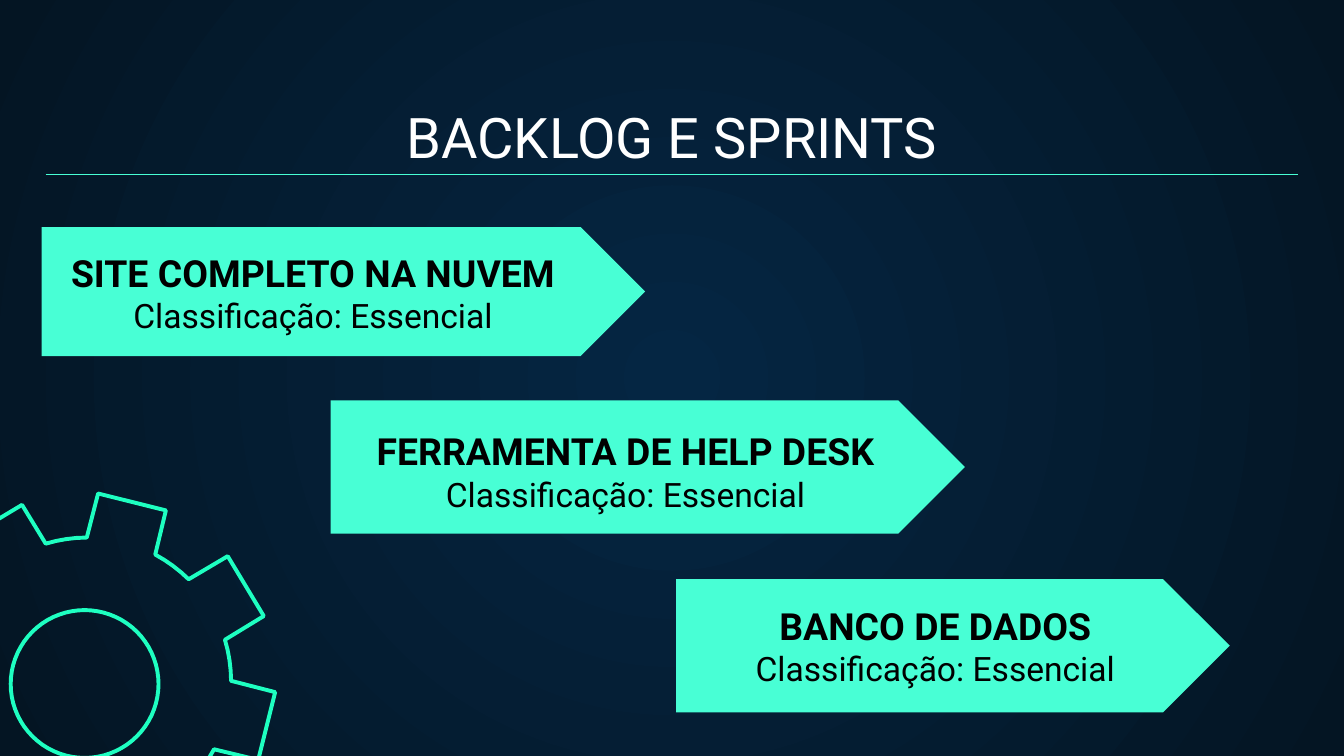
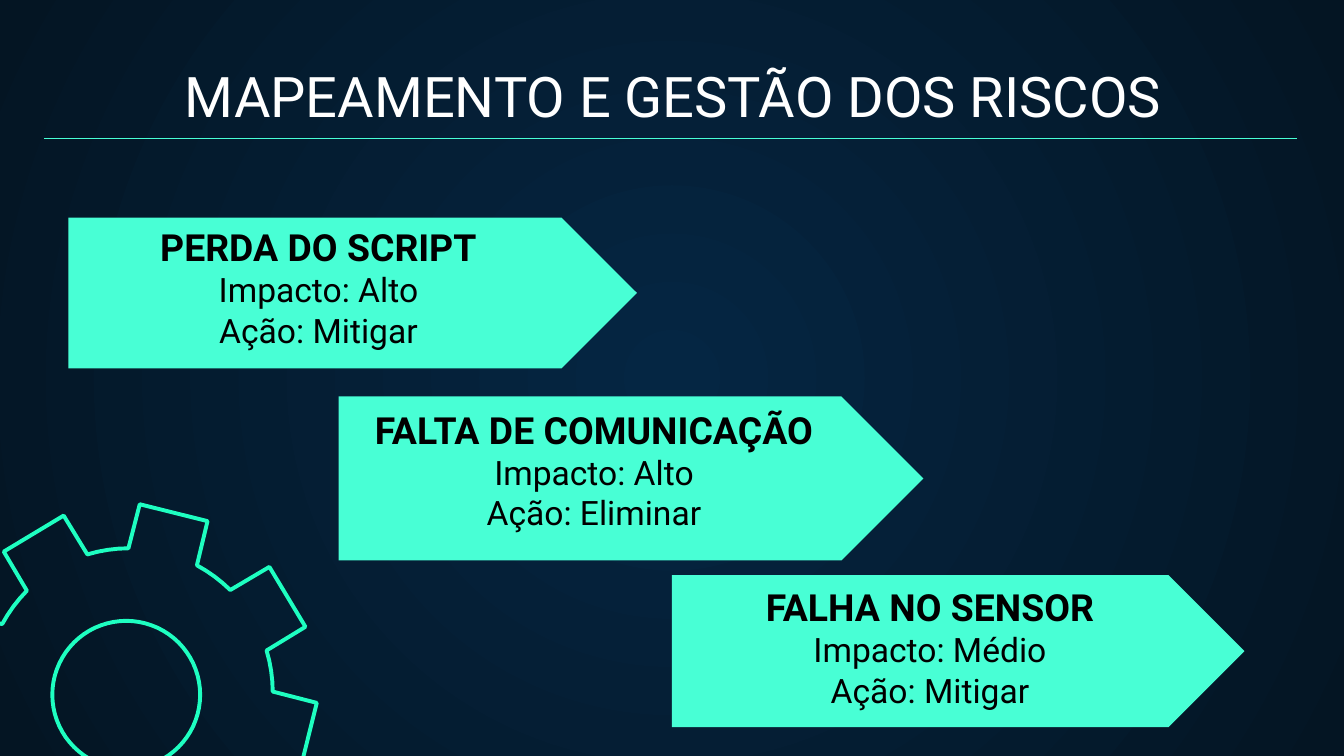
import math
from dataclasses import dataclass

import pptx
import pptx.dml.color
import pptx.enum.dml
import pptx.enum.shapes
import pptx.enum.text
import pptx.oxml
import pptx.oxml.ns
import pptx.util

# Content: positions are in grid cells, a hundred square cells to the slide width
SLIDES = [
    {
        "title": "BACKLOG E SPRINTS",
        "title_box": (3.4, 7, 93.2, 6.6),
        "rule": (3.4, 13),
        "gear_center": (6.5, 50.7),
        "steps": [
            {"lines": ["SITE COMPLETO NA NUVEM", "Classificação: Essencial"],
             "arrow": (3.1, 16.9, 44.9, 9.6), "label": (2.8, 18.1, 41)},
            {"lines": ["FERRAMENTA DE HELP DESK", "Classificação: Essencial"],
             "arrow": (24.6, 29.8, 47.2, 9.9), "label": (26.7, 31.4, 39.7)},
            {"lines": ["BANCO DE DADOS", "Classificação: Essencial"],
             "arrow": (50.3, 43.1, 41.2, 9.9), "label": (50.9, 44.4, 37.4)},
        ],
    },
    {
        "title": "MAPEAMENTO E GESTÃO DOS RISCOS",
        "title_box": (3.5, 4.2, 93.2, 6.4),
        "rule": (3.3, 10.3),
        "gear_center": (9.6, 51.5),
        "steps": [
            {"lines": ["PERDA DO SCRIPT", "Impacto: Alto", "Ação: Mitigar"],
             "arrow": (5.1, 16.2, 42.3, 11.2), "label": (6.8, 16.2, 33.8)},
            {"lines": ["FALTA DE COMUNICAÇÃO", "Impacto: Alto", "Ação: Eliminar"],
             "arrow": (25.2, 29.5, 43.5, 12.2), "label": (26.4, 29.8, 35.6)},
            {"lines": ["FALHA NO SENSOR", "Impacto: Médio", "Ação: Mitigar"],
             "arrow": (50, 42.8, 42.6, 11.3), "label": (52.3, 43, 33.8)},
        ],
    },
]


@dataclass(frozen=True)
class Theme:
    font: str = "Roboto"
    title_size: float = 30
    heading_size: float = 20
    detail_size: float = 18
    rule_width: float = 0.75
    gear_width: float = 2.1
    glow: str = "052643"
    night: str = "041523"
    mint: str = "48FFD5"
    gear_line: str = "1EFFC1"
    title_color: str = "FFFFFF"
    label_color: str = "000000"


THEME = Theme()
SLIDE_WIDTH = pptx.util.Inches(10)
SLIDE_HEIGHT = pptx.util.Inches(5.625)
CELL = SLIDE_WIDTH / 100
RULE_LENGTH = 93.2

# Gear proportions: radii in cells, angles in degrees
TEETH = 8
FIRST_TOOTH = 14
TIP_RADIUS, TIP_HALF_ANGLE = 14, 10.7
ROOT_RADIUS, ROOT_HALF_ANGLE = 10.7, 14.2
HOLE_RADIUS, HOLE_SHIFT = 5.5, 0.2


def cells(*lengths):
    return [round(length * CELL) for length in lengths]


def rgb(color):
    return pptx.dml.color.RGBColor.from_string(color)


def paint_background(master):
    fill = master.background.fill
    fill.gradient()
    for stop, color in zip(fill.gradient_stops, (THEME.glow, THEME.night)):
        stop.color.rgb = rgb(color)
    # Turn the linear gradient into a circular one
    qn = pptx.oxml.ns.qn
    linear = master.element.find(".//" + qn("p:bg")).find(".//" + qn("a:lin"))
    circle = pptx.oxml.parse_xml(
        f'<a:path {pptx.oxml.ns.nsdecls("a")} path="circle">'
        '<a:fillToRect l="50000" t="50000" r="50000" b="50000"/></a:path>')
    linear.getparent().replace(linear, circle)


def add_text(slide, box, lines, sizes, color, bold_first=False):
    text_frame = slide.shapes.add_textbox(*cells(*box)).text_frame
    text_frame.word_wrap = True
    text_frame.text = "\n".join(lines)
    for index, (paragraph, size) in enumerate(zip(text_frame.paragraphs, sizes)):
        paragraph.alignment = pptx.enum.text.PP_ALIGN.CENTER
        for run in paragraph.runs:
            run.font.name = THEME.font
            run.font.size = pptx.util.Pt(size)
            run.font.bold = bold_first and index == 0
            run.font.color.rgb = rgb(color)
    return text_frame


def add_title(slide, title, box):
    text_frame = add_text(slide, box, [title], [THEME.title_size], THEME.title_color)
    text_frame.vertical_anchor = pptx.enum.text.MSO_ANCHOR.BOTTOM
    text_frame.margin_top = text_frame.margin_bottom = pptx.util.Inches(0.1)


def add_rule(slide, left, top):
    rule = slide.shapes.add_connector(
        pptx.enum.shapes.MSO_CONNECTOR.STRAIGHT,
        *cells(left, top, left + RULE_LENGTH, top))
    rule.line.color.rgb = rgb(THEME.mint)
    rule.line.width = pptx.util.Pt(THEME.rule_width)
    properties = rule.element.find(pptx.oxml.ns.qn("p:spPr"))
    properties.append(pptx.oxml.parse_xml(
        f'<a:effectLst {pptx.oxml.ns.nsdecls("a")}/>'))


def polar(center, radius, degrees):
    angle = math.radians(degrees)
    return tuple(cells(center[0] + radius * math.cos(angle),
                       center[1] + radius * math.sin(angle)))


def add_gear(slide, center):
    # Each tooth has two root and two tip corners, then an arc to the next one
    step = 360 / TEETH
    valley = step - 2 * ROOT_HALF_ANGLE
    outline = []
    for tooth in range(TEETH):
        middle = FIRST_TOOTH + tooth * step
        corners = [(ROOT_RADIUS, -ROOT_HALF_ANGLE), (TIP_RADIUS, -TIP_HALF_ANGLE),
                   (TIP_RADIUS, TIP_HALF_ANGLE), (ROOT_RADIUS, ROOT_HALF_ANGLE)]
        corners += [(ROOT_RADIUS, ROOT_HALF_ANGLE + valley * part / 4)
                    for part in range(1, 4)]
        outline += [polar(center, radius, middle + turn) for radius, turn in corners]
    hole_center = (center[0] - HOLE_SHIFT, center[1] + HOLE_SHIFT)
    hole = [polar(hole_center, HOLE_RADIUS, degrees) for degrees in range(0, 360, 5)]

    builder = slide.shapes.build_freeform(*outline[0])
    builder.add_line_segments(outline[1:], close=True)
    builder.move_to(*hole[0])
    builder.add_line_segments(hole[1:], close=True)
    gear = builder.convert_to_shape()
    gear.shadow.inherit = False
    gear.fill.background()
    gear.line.color.rgb = rgb(THEME.gear_line)
    gear.line.width = pptx.util.Pt(THEME.gear_width)


def add_arrow(slide, box):
    arrow = slide.shapes.add_shape(
        pptx.enum.shapes.MSO_SHAPE.PENTAGON, *cells(*box))
    arrow.shadow.inherit = False
    arrow.fill.solid()
    arrow.fill.fore_color.rgb = rgb(THEME.mint)
    arrow.line.fill.background()


def add_label(slide, lines, position):
    height = 7.9 + 3.3 * len(lines)
    sizes = [THEME.heading_size] + [THEME.detail_size] * (len(lines) - 1)
    add_text(slide, (*position, height), lines, sizes, THEME.label_color,
             bold_first=True)


def main():
    presentation = pptx.Presentation()
    presentation.slide_width = SLIDE_WIDTH
    presentation.slide_height = SLIDE_HEIGHT
    paint_background(presentation.slide_master)
    blank = presentation.slide_layouts[6]
    for content in SLIDES:
        slide = presentation.slides.add_slide(blank)
        add_gear(slide, content["gear_center"])
        add_title(slide, content["title"], content["title_box"])
        add_rule(slide, *content["rule"])
        for step in content["steps"]:
            add_arrow(slide, step["arrow"])
        for step in content["steps"]:
            add_label(slide, step["lines"], step["label"])
    presentation.save("out.pptx")


if __name__ == "__main__":
    main()
